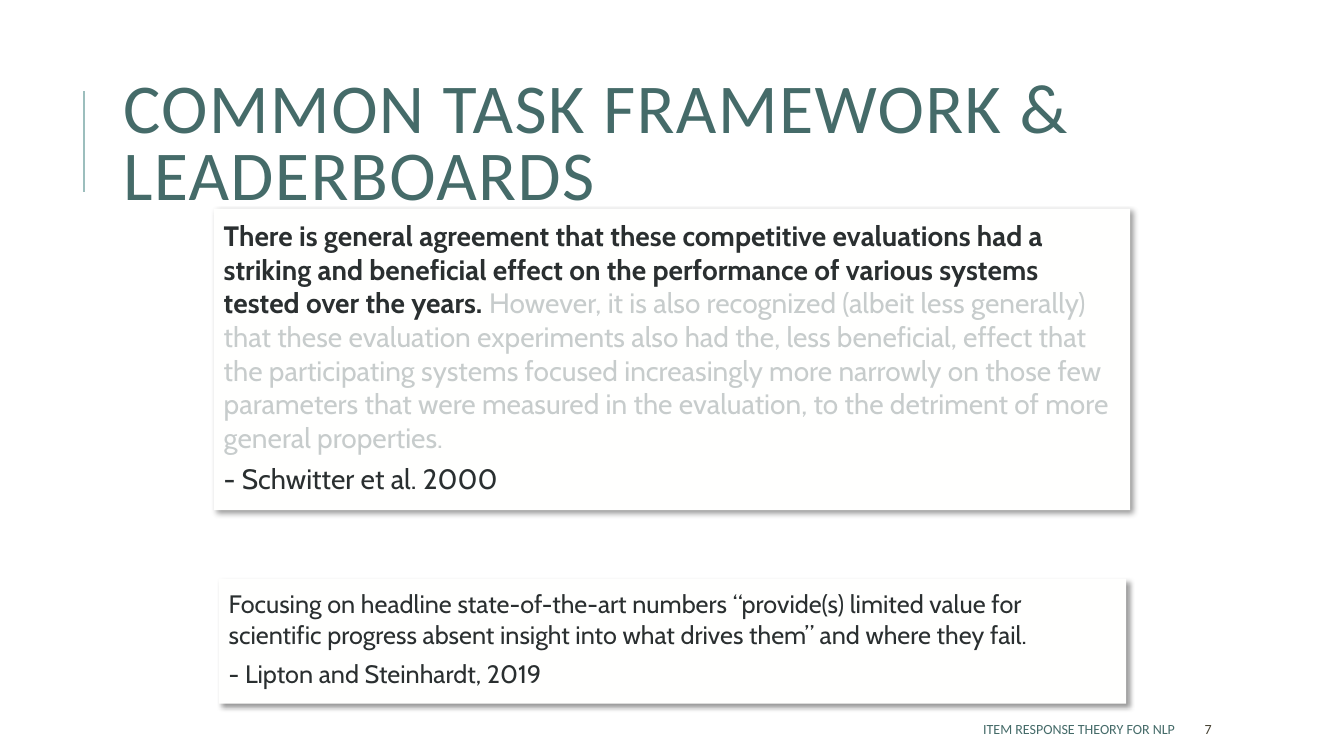
from dataclasses import dataclass

from lxml.etree import SubElement
from pptx import Presentation
from pptx.dml.color import RGBColor
from pptx.enum.shapes import MSO_CONNECTOR, MSO_SHAPE
from pptx.enum.text import MSO_ANCHOR, MSO_AUTO_SIZE, PP_ALIGN
from pptx.oxml.ns import qn
from pptx.shapes.autoshape import Shape
from pptx.slide import Slide
from pptx.util import Inches, Pt

TEAL = RGBColor(0x45, 0x6B, 0x69)
PALE_TEAL = RGBColor(0x9C, 0xBE, 0xBD)
OLIVE = RGBColor(0x47, 0x42, 0x33)
INK = RGBColor(0x2A, 0x2F, 0x30)
FADED = RGBColor(0xC7, 0xCC, 0xCC)
CARD = RGBColor(0xFF, 0xFF, 0xFE)


@dataclass(frozen=True)
class Passage:
    text: str
    color: RGBColor = INK
    bold: bool = False


@dataclass(frozen=True)
class Quote:
    left: float
    top: float
    width: float
    height: float
    size: int
    passages: tuple[Passage, ...]
    source: str
    source_gap: float


@dataclass(frozen=True)
class FooterItem:
    text: str
    left: float
    width: float
    color: RGBColor
    alignment: PP_ALIGN


QUOTES = (
    Quote(2.12, 2.07, 9.09, 2.99, 20, (
        Passage("There is general agreement that these competitive evaluations had a "
                "striking and beneficial effect on the performance of various systems "
                "tested over the years. ", bold=True),
        Passage("However, it is also recognized (albeit less generally) that these "
                "evaluation experiments also had the, less beneficial, effect that the "
                "participating systems focused increasingly more narrowly on those few "
                "parameters that were measured in the evaluation, to the detriment of "
                "more general properties.", FADED),
    ), "- Schwitter et al. 2000", 5.6),
    Quote(2.17, 5.74, 9, 1.24, 18, (
        Passage("Focusing on headline state-of-the-art numbers “provide(s) limited value "
                "for scientific progress absent insight into what drives them” and where "
                "they fail."),
    ), "- Lipton and Steinhardt, 2019", 6.8),
)

FOOTER = (
    FooterItem("ITEM RESPONSE THEORY FOR NLP", 5.3, 6.45, TEAL, PP_ALIGN.RIGHT),
    FooterItem("7", 11.85, 1.06, OLIVE, PP_ALIGN.LEFT),
)


def add_title(slide: Slide, text: str) -> None:
    title = slide.shapes.title
    title.left, title.top = Inches(1.12), Inches(0.64)
    title.width, title.height = Inches(10.63), Inches(1.64)
    frame = title.text_frame
    frame.text = text
    frame.word_wrap = True
    frame.auto_size = MSO_AUTO_SIZE.NONE
    frame.vertical_anchor = MSO_ANCHOR.MIDDLE
    heading = frame.paragraphs[0]
    heading.alignment = PP_ALIGN.LEFT
    heading.line_spacing = 0.8
    heading.font.name = "Calibri"
    heading.font.size = Pt(50)
    heading.font.color.rgb = TEAL
    heading.runs[0].font._element.set("spc", "100")


def add_title_rule(slide: Slide) -> None:
    rule = slide.shapes.add_connector(
        MSO_CONNECTOR.STRAIGHT, Inches(0.83), Inches(1.9), Inches(0.83), Inches(0.9))
    rule.line.color.rgb = PALE_TEAL
    rule.line.width = Pt(1.5)
    SubElement(rule._element.spPr, qn("a:effectLst"))


def add_drop_shadow(card: Shape) -> None:
    """Cast a soft 40 % black shadow to the lower right."""
    card.shadow.inherit = False
    effects = card._element.spPr.find(qn("a:effectLst"))
    shadow = SubElement(effects, qn("a:outerShdw"), blurRad=str(Pt(4)), dist=str(Pt(3)),
                        dir=str(45 * 60000), algn="tl", rotWithShape="0")
    black = SubElement(shadow, qn("a:srgbClr"), val="000000")
    SubElement(black, qn("a:alpha"), val="40000")


def add_quote(slide: Slide, quote: Quote) -> None:
    card = slide.shapes.add_shape(
        MSO_SHAPE.RECTANGLE, Inches(quote.left), Inches(quote.top),
        Inches(quote.width), Inches(quote.height))
    card.fill.solid()
    card.fill.fore_color.rgb = CARD
    card.line.fill.background()
    add_drop_shadow(card)

    frame = card.text_frame
    frame.word_wrap = True
    frame.vertical_anchor = MSO_ANCHOR.TOP
    frame.margin_left = frame.margin_right = Inches(0.1)
    frame.margin_top = frame.margin_bottom = Inches(0.1)

    body = frame.paragraphs[0]
    for passage in quote.passages:
        run = body.add_run()
        run.text = passage.text
        run.font.bold = passage.bold
        run.font.color.rgb = passage.color
    source = frame.add_paragraph()
    source.text = quote.source
    source.space_before = Pt(quote.source_gap)
    source.font.color.rgb = INK
    for paragraph in frame.paragraphs:
        paragraph.alignment = PP_ALIGN.LEFT
        paragraph.font.name = "Cabin"
        paragraph.font.size = Pt(quote.size)


def add_footer_item(slide: Slide, item: FooterItem) -> None:
    box = slide.shapes.add_textbox(
        Inches(item.left), Inches(7.08), Inches(item.width), Inches(0.3))
    frame = box.text_frame
    frame.word_wrap = True
    frame.vertical_anchor = MSO_ANCHOR.MIDDLE
    label = frame.paragraphs[0]
    label.text = item.text
    label.alignment = item.alignment
    label.font.name = "Calibri"
    label.font.size = Pt(10)
    label.font.color.rgb = item.color


def main() -> None:
    presentation = Presentation()
    presentation.slide_width = Inches(13.33)
    presentation.slide_height = Inches(7.5)
    title_only = presentation.slide_layouts.get_by_name("Title Only")
    slide = presentation.slides.add_slide(title_only)

    add_title_rule(slide)
    add_title(slide, "COMMON TASK FRAMEWORK & LEADERBOARDS")
    for item in FOOTER:
        add_footer_item(slide, item)
    for quote in QUOTES:
        add_quote(slide, quote)

    presentation.save("out.pptx")


if __name__ == "__main__":
    main()
